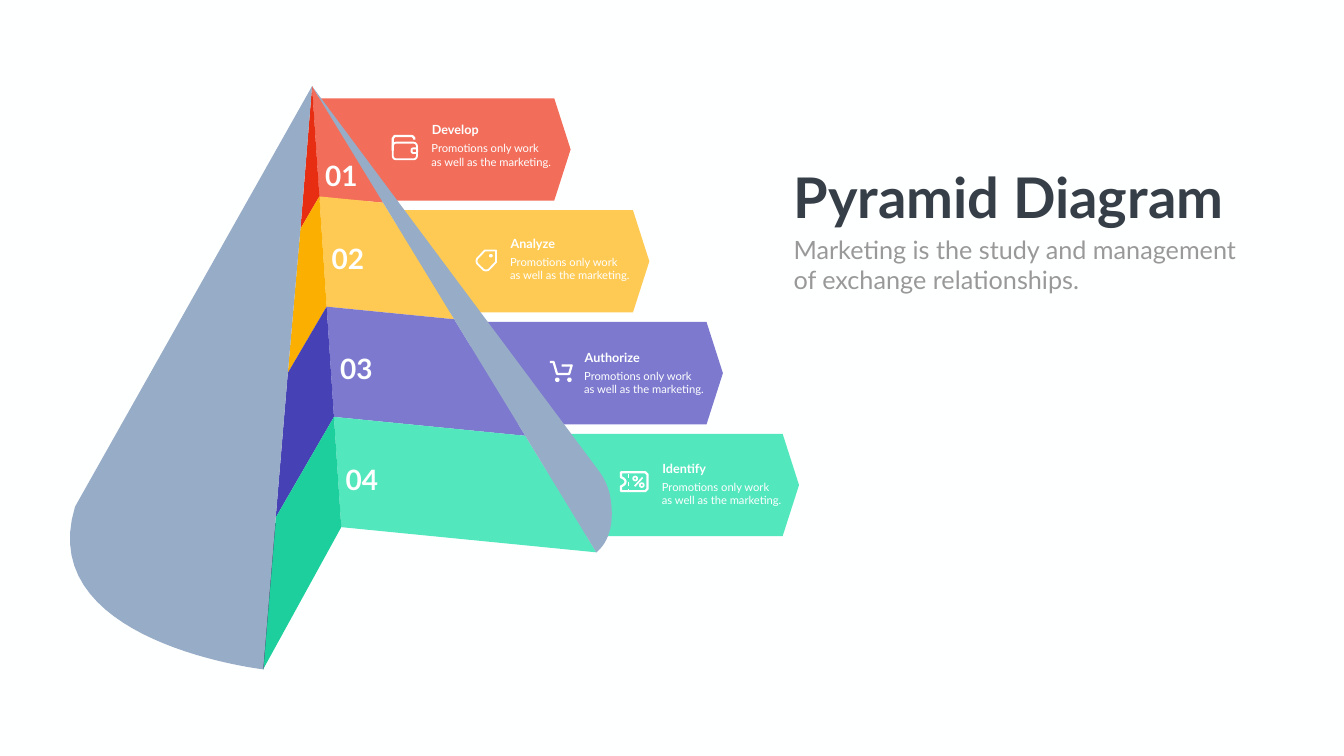
from dataclasses import dataclass

from pptx import Presentation
from pptx import util as u
from pptx.dml.color import RGBColor
from pptx.enum import dml, shapes, text
from pptx.oxml.ns import qn
from lxml import etree

Point = tuple[float, float]
Box = tuple[float, float, float, float]

COLORS = {
    "background": "FEFFFF", "icon": "FFFFFF", "cone": "97ACC7", "crease": "2A345B",
    "title": "363E48", "subtitle": "989998",
}
FONT = "Lato"
STROKE = 3.2
APEX = (445.7, 123.1)
RIDGE_FOOT = (487.4, 753.1)
RIGHT_FOOT = (851.8, 789.1)
LEFT_EDGE = [APEX, (429.1, 326.9), (411.1, 532.8), (393.8, 739.4), (375.8, 956.2)]
BANNER_TOP, BANNER_STEP = 140.4, 159.8
BANNER_WIDTH, BANNER_HEIGHT = 360, 146.2


@dataclass
class Level:
    heading: str
    light: str
    dark: str
    banner_left: float
    number_at: Point
    heading_at: Point


LEVELS = [
    Level("Develop", "F26E5B", "E72D12", 455, (457.2, 223.2), (609.8, 170.6)),
    Level("Analyze", "FECA53", "FBAF01", 567.4, (466.6, 341.3), (722.2, 333.4)),
    Level("Authorize", "7D79CF", "4641B5", 672.5, (478.8, 498.2), (828, 496.1)),
    Level("Identify", "53E7BE", "1DCF9D", 781.2, (486.7, 656.6), (938.9, 654.5)),
]


def rgb(color: str) -> RGBColor:
    return RGBColor.from_string(COLORS.get(color, color))


def divide(start: Point, end: Point, parts: int) -> list[Point]:
    return [tuple(a + (b - a) * i / parts for a, b in zip(start, end)) for i in range(parts + 1)]


def curve(start: Point, first: Point, second: Point, end: Point, steps: int = 30) -> list[Point]:
    points = []
    for i in range(steps + 1):
        t = i / steps
        weights = ((1 - t) ** 3, 3 * t * (1 - t) ** 2, 3 * t * t * (1 - t), t ** 3)
        points.append(tuple(sum(w * c for w, c in zip(weights, axis))
                            for axis in zip(start, first, second, end)))
    return points


def paint(shape, fill: str | None, line: str | None, width: float) -> None:
    shape.shadow.inherit = False
    if fill:
        shape.fill.solid()
        shape.fill.fore_color.rgb = rgb(fill)
    else:
        shape.fill.background()
    if line:
        shape.line.color.rgb = rgb(line)
        shape.line.width = u.Pt(width)
    else:
        shape.line.fill.background()


def add_outline(slide, points: list[Point], fill: str | None = None, line: str | None = None,
                width: float = STROKE, close: bool = True) -> None:
    scaled = [(u.Pt(x), u.Pt(y)) for x, y in points]
    builder = slide.shapes.build_freeform(*scaled[0], scale=1.0)
    builder.add_line_segments(scaled[1:], close=close)
    paint(builder.convert_to_shape(), fill, line, width)


def add_preset(slide, kind, box: Box, fill: str | None = None, line: str | None = None,
               width: float = STROKE, adjustment: float | None = None) -> None:
    shape = slide.shapes.add_shape(kind, *map(u.Pt, box))
    if adjustment is not None:
        shape.adjustments[0] = adjustment
    paint(shape, fill, line, width)


def add_line(slide, start: Point, end: Point, color: str, width: float, dash=None) -> None:
    connector = slide.shapes.add_connector(
        shapes.MSO_CONNECTOR.STRAIGHT, *map(u.Pt, (*start, *end)))
    connector.line.color.rgb = rgb(color)
    connector.line.width = u.Pt(width)
    if dash:
        connector.line.dash_style = dash
    etree.SubElement(connector._element.spPr, qn("a:effectLst"))


def write(slide, content: str, box: Box, *, size: float, color: str = "background",
          bold: bool = False, wrap: bool = True, placeholder=None) -> None:
    shape = placeholder or slide.shapes.add_textbox(0, 0, 0, 0)
    shape.left, shape.top, shape.width, shape.height = map(u.Pt, box)
    frame = shape.text_frame
    frame.word_wrap = wrap
    frame.auto_size = text.MSO_AUTO_SIZE.NONE
    frame.vertical_anchor = text.MSO_ANCHOR.TOP
    frame.text = content
    for paragraph in frame.paragraphs:
        paragraph.alignment = text.PP_ALIGN.LEFT
        paragraph.space_before = u.Pt(0)
        paragraph.font.name = FONT
        paragraph.font.size = u.Pt(size)
        paragraph.font.bold = bold
        paragraph.font.color.rgb = rgb(color)


def draw_banners(slide) -> None:
    for i, level in enumerate(LEVELS):
        box = (level.banner_left, BANNER_TOP + i * BANNER_STEP, BANNER_WIDTH, BANNER_HEIGHT)
        add_preset(slide, shapes.MSO_SHAPE.PENTAGON, box, level.light, adjustment=0.16)


def draw_cone(slide) -> None:
    ridge = divide(APEX, RIDGE_FOOT, len(LEVELS))
    right = divide(APEX, RIGHT_FOOT, len(LEVELS))
    for edge, shade in ((right, "light"), (LEFT_EDGE, "dark")):
        for i, level in enumerate(LEVELS):
            face = [ridge[i], edge[i], edge[i + 1], ridge[i + 1]]
            add_outline(slide, face, getattr(level, shade))
    rim = curve((854.6, 671.8), (861.8, 681.1), (866.9, 691.9), (870.5, 704.2))
    rim += curve((870.5, 704.2), (875.5, 727.9), (878.4, 766.8), RIGHT_FOOT)
    add_outline(slide, [APEX, *rim], "cone")
    add_line(slide, (393.1, 747.4), LEFT_EDGE[-1], "crease", 0.75)
    base = curve(LEFT_EDGE[-1], LEFT_EDGE[-1], (46.8, 918), (107.3, 723.6))
    add_outline(slide, LEFT_EDGE + base, "cone")


def draw_wallet(slide) -> None:
    flap = [(560.9, 215), (560.9, 198), (563.5, 194.4), (589, 194.4), (591.5, 197), (591.5, 199.4)]
    add_outline(slide, flap, line="icon", close=False)
    for box, radius in (((560.9, 203.8, 34.6, 23.8), 0.2), ((587.9, 212, 7.9, 6.5), 0.3)):
        add_preset(slide, shapes.MSO_SHAPE.ROUNDED_RECTANGLE, box, line="icon",
                   width=2.6, adjustment=radius)


def draw_tag(slide) -> None:
    add_outline(slide, [(692.6, 357.8), (708.5, 357.8), (708.5, 374.4), (697.7, 385.6),
                        (694.1, 386.6), (690.8, 385.6), (681.5, 376.6), (680.4, 373),
                        (681.5, 369.4)], line="icon", width=2.6)
    add_preset(slide, shapes.MSO_SHAPE.OVAL, (698.4, 362.9, 5.4, 5), "icon")


def draw_cart(slide) -> None:
    add_outline(slide, [(785.5, 517), (790.6, 517), (795.6, 534.2), (812.9, 534.2),
                        (816.5, 522), (802.1, 522)], line="icon", close=False)
    for left in (792.7, 810):
        add_preset(slide, shapes.MSO_SHAPE.OVAL, (left, 539.3, 6.5, 6.5), "icon")


def draw_ticket(slide) -> None:
    notch = curve((887, 694.8), (895.5, 691.5), (895.5, 684.7), (887, 681.8), 12)
    corners = [(887, 674.6), (921.6, 674.6), (924.8, 677.8), (924.8, 698.4), (921.6, 701.6),
               (887, 701.6)]
    add_outline(slide, corners + notch, line="icon")
    add_line(slide, (897.8, 677.5), (897.8, 699.8), "icon", 1.5, dml.MSO_LINE.DASH)
    add_line(slide, (906.5, 694.6), (917.8, 682.2), "icon", 2.4)
    for left, top in ((904.4, 680.8), (913.8, 690.2)):
        add_preset(slide, shapes.MSO_SHAPE.OVAL, (left, top, 5.6, 5.6), line="icon", width=2.4)


def draw_captions(slide) -> None:
    for number, level in enumerate(LEVELS, 1):
        left, top = level.heading_at
        write(slide, f"{number:02}", (*level.number_at, 61.2, 55.4), size=40, bold=True, wrap=False)
        write(slide, level.heading, (left, top, 133.2, 28.8), size=18, bold=True)
        write(slide, "Promotions only work\nas well as the marketing.",
              (left - 0.7, top + 27.9, 236.9, 46.1), size=16)


def main() -> None:
    presentation = Presentation()
    presentation.slide_width, presentation.slide_height = u.Pt(1919.52), u.Pt(1080)
    slide = presentation.slides.add_slide(presentation.slide_layouts[0])
    slide.background.fill.solid()
    slide.background.fill.fore_color.rgb = rgb("background")
    draw_banners(slide)
    draw_cone(slide)
    for draw_icon in (draw_wallet, draw_tag, draw_cart, draw_ticket):
        draw_icon(slide)
    write(slide, "Pyramid Diagram", (1126.1, 228.2, 640.8, 104.4), size=80, color="title",
          bold=True, wrap=False, placeholder=slide.shapes.title)
    write(slide, "Marketing is the study and management\nof exchange relationships.",
          (1126.1, 330.5, 701.3, 94.3), size=36, color="subtitle", placeholder=slide.placeholders[1])
    draw_captions(slide)
    presentation.save("out.pptx")


if __name__ == "__main__":
    main()
